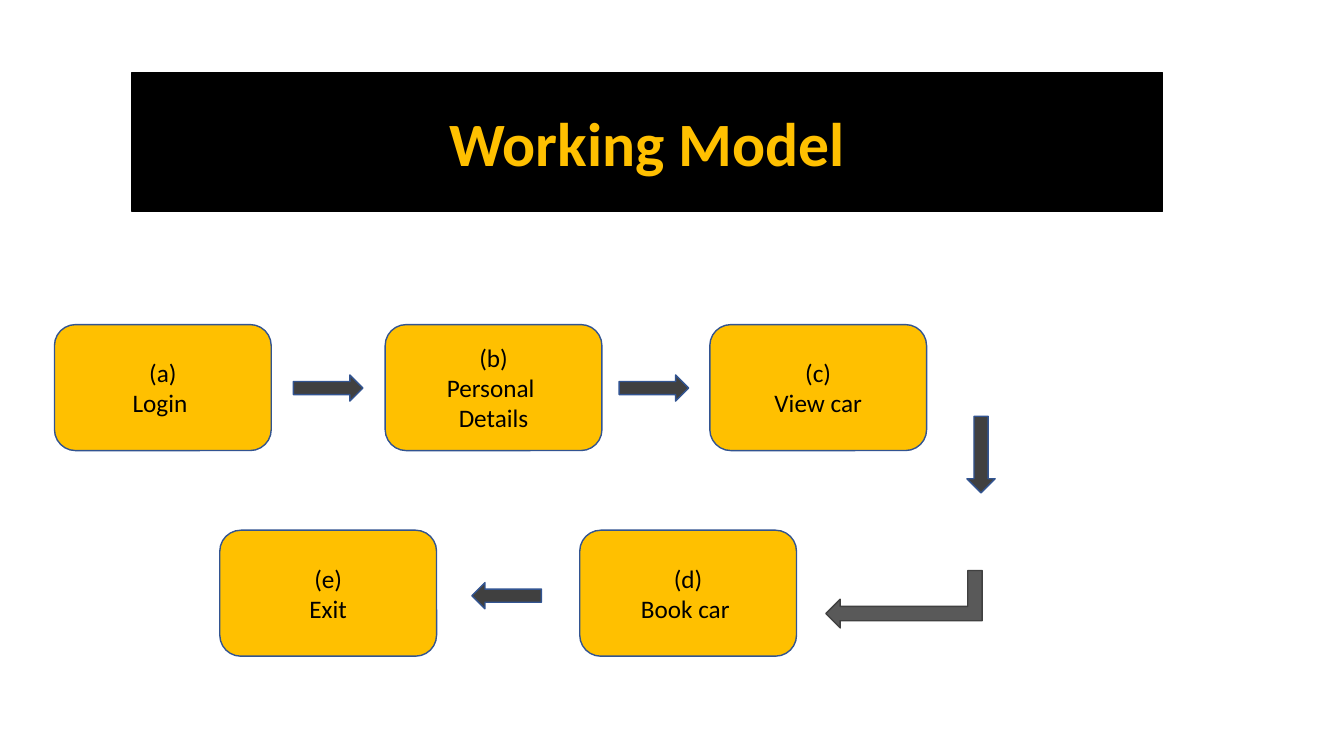
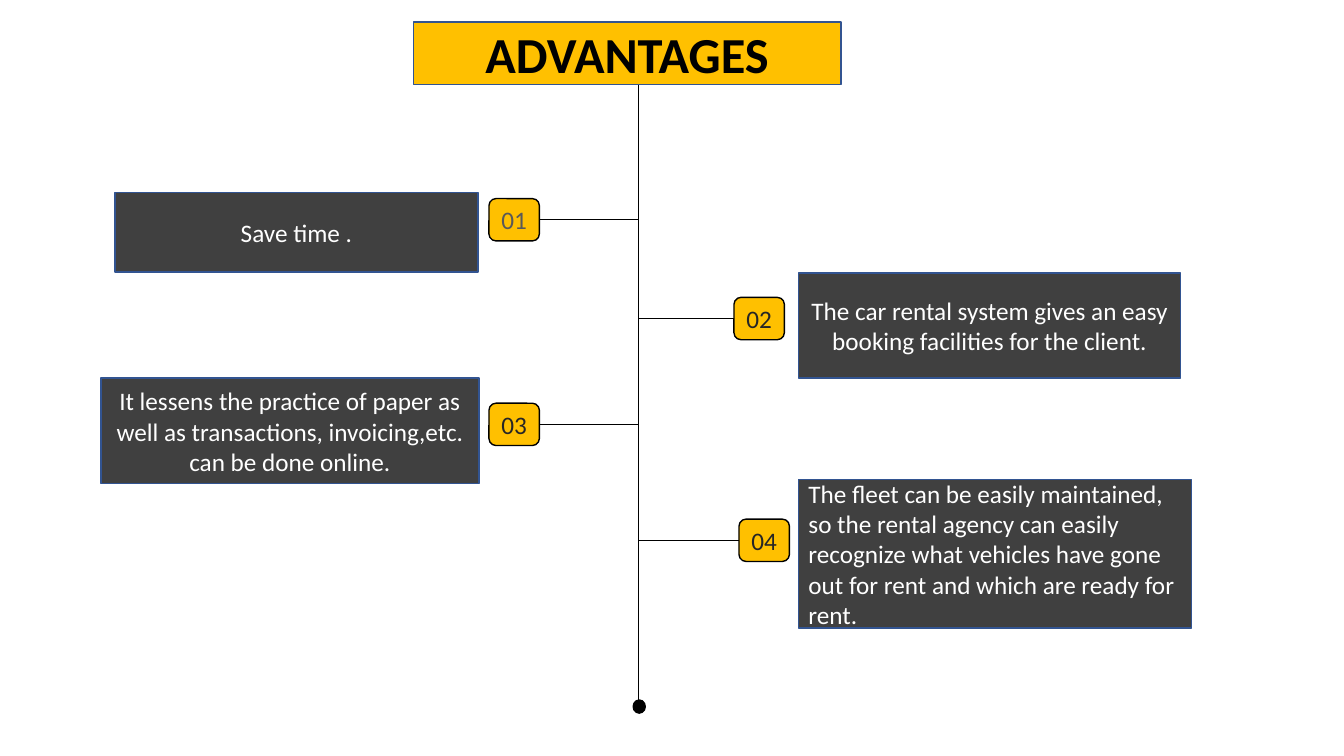
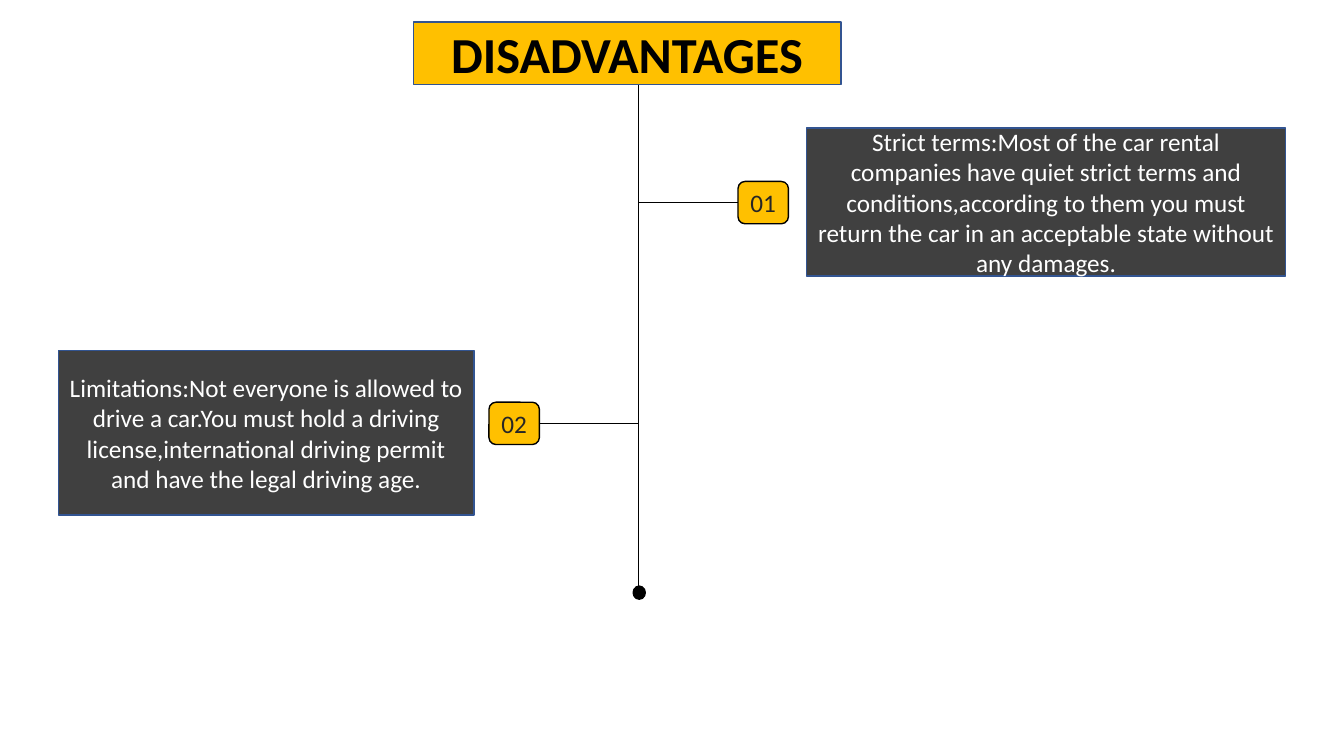
from pptx import Presentation
from pptx.dml.color import RGBColor
from pptx.enum.shapes import MSO_CONNECTOR, MSO_SHAPE
from pptx.enum.text import MSO_ANCHOR, PP_ALIGN
from pptx.oxml.ns import qn
from pptx.oxml.xmlchemy import OxmlElement
from pptx.util import Inches, Pt

RECT = MSO_SHAPE.RECTANGLE
ROUNDED = MSO_SHAPE.ROUNDED_RECTANGLE
BADGE = MSO_SHAPE.FLOWCHART_ALTERNATE_PROCESS
OVAL = MSO_SHAPE.OVAL
RIGHT_ARROW = MSO_SHAPE.RIGHT_ARROW
LEFT_ARROW = MSO_SHAPE.LEFT_ARROW
DOWN_ARROW = MSO_SHAPE.DOWN_ARROW
BENT_ARROW = MSO_SHAPE.BENT_UP_ARROW
STRAIGHT = MSO_CONNECTOR.STRAIGHT
CENTER, LEFT = PP_ALIGN.CENTER, PP_ALIGN.LEFT
MIDDLE = MSO_ANCHOR.MIDDLE
LEFT_SIDE, RIGHT_SIDE = 1, 3


class Theme:
    font = "Calibri"
    amber = RGBColor.from_string("FFC000")
    black = RGBColor.from_string("000000")
    white = RGBColor.from_string("FFFFFF")
    charcoal = RGBColor.from_string("404040")
    grey = RGBColor.from_string("595959")
    ink = RGBColor.from_string("262626")
    outline = RGBColor.from_string("325491")
    banner_size = Pt(44)
    title_size = Pt(36)
    body_size = Pt(18)
    border = Pt(1)
    hairline = Pt(0.5)


def add_block(slide, preset, box, fill, line, text="", color=Theme.black,
              size=Theme.body_size, bold=False, align=CENTER):
    block = slide.shapes.add_shape(preset, *[Inches(length) for length in box])
    block.shadow.inherit = False
    block.fill.solid()
    block.fill.fore_color.rgb = fill
    block.line.color.rgb = line
    block.line.width = Theme.border
    if text:
        frame = block.text_frame
        frame.word_wrap = True
        frame.vertical_anchor = MIDDLE
        frame.text = text
        for paragraph in frame.paragraphs:
            paragraph.alignment = align
            for run in paragraph.runs:
                run.font.name = Theme.font
                run.font.size = size
                run.font.bold = bold
                run.font.color.rgb = color
    return block


def add_line(slide, x1, y1, x2, y2):
    line = slide.shapes.add_connector(
        STRAIGHT, Inches(x1), Inches(y1), Inches(x2), Inches(y2))
    line.line.color.rgb = Theme.black
    line.line.width = Theme.hairline
    line.element.spPr.append(OxmlElement("a:effectLst"))
    return line


prs = Presentation()
prs.slide_width = Inches(13.33)
prs.slide_height = Inches(7.5)
blank = prs.slide_layouts[6]

model = prs.slides.add_slide(blank)
add_block(model, RECT, (1.31, 0.72, 10.22, 1.38), Theme.black, Theme.black,
          "Working Model", Theme.amber, Theme.banner_size, True)

top_row, bottom_row = 3.22, 5.26
steps = [
    (0.54, top_row, "(a)\nLogin "),
    (3.82, top_row, "(b)\nPersonal \nDetails"),
    (7.04, top_row, "(c)\nView car"),
    (5.75, bottom_row, "(d)\nBook car "),
    (2.18, bottom_row, "(e)\nExit"),
]
for left, top, label in steps:
    add_block(model, ROUNDED, (left, top, 2.15, 1.25),
              Theme.amber, Theme.outline, label)

arrows = [
    (RIGHT_ARROW, (2.91, 3.72, 0.69, 0.26)),
    (RIGHT_ARROW, (6.14, 3.72, 0.69, 0.26)),
    (DOWN_ARROW, (9.59, 4.13, 0.28, 0.76)),
    (LEFT_ARROW, (4.68, 5.78, 0.69, 0.26)),
]
for direction, box in arrows:
    add_block(model, direction, box, Theme.charcoal, Theme.outline)

turn = add_block(model, BENT_ARROW, (8.68, 5.17, 0.57, 1.55),
                 Theme.grey, Theme.charcoal)
turn.rotation = 270
turn.element.spPr.find(qn("a:xfrm")).set("flipH", "1")

spine_x = 6.33
title_top, title_height = 0.22, 0.62
badge_width, badge_height = 0.5, 0.42
dot_width, dot_height = 0.12, 0.13

timelines = [
    ("ADVANTAGES", 7.01, [
        (4.85, 1.97, Theme.grey, (1.14, 1.91, 3.6, 0.79), CENTER,
         "Save time ."),
        (7.28, 2.95, Theme.ink, (7.92, 2.71, 3.79, 1.04), CENTER,
         "The car rental system gives an easy booking facilities for the "
         "client."),
        (4.85, 4, Theme.ink, (1, 3.75, 3.75, 1.05), CENTER,
         "It lessens the practice of paper as well as transactions, "
         "invoicing,etc. can be done online."),
        (7.33, 5.15, Theme.ink, (7.92, 4.76, 3.9, 1.47), LEFT,
         "The fleet can be easily maintained, so the rental agency can easily "
         "recognize what vehicles have gone out for rent and which are ready "
         "for rent."),
    ]),
    ("DISADVANTAGES", 5.88, [
        (7.32, 1.8, Theme.ink, (8, 1.27, 4.75, 1.47), CENTER,
         "Strict terms:Most of the car rental companies have quiet strict "
         "terms and conditions,according to them you must return the car in "
         "an acceptable state without any damages."),
        (4.85, 3.99, Theme.ink, (0.58, 3.48, 4.12, 1.63), CENTER,
         "Limitations:Not everyone is allowed to drive a car.You must hold a "
         "driving license,international driving permit and have the legal "
         "driving age."),
    ]),
]

for title, spine_end, points in timelines:
    slide = prs.slides.add_slide(blank)
    add_line(slide, spine_x, title_top + title_height, spine_x, spine_end)
    add_block(slide, RECT, (4.1, title_top, 4.24, title_height), Theme.amber,
              Theme.outline, title, Theme.black, Theme.title_size, True)
    for number, point in enumerate(points, 1):
        badge_left, badge_top, number_color, card_box, align, text = point
        badge = add_block(
            slide, BADGE, (badge_left, badge_top, badge_width, badge_height),
            Theme.amber, Theme.black, f"{number:02d}", number_color)
        branch_y = badge_top + badge_height / 2
        branch = add_line(slide, spine_x, branch_y, badge_left, branch_y)
        branch.end_connect(
            badge, LEFT_SIDE if badge_left > spine_x else RIGHT_SIDE)
        add_block(slide, RECT, card_box, Theme.charcoal, Theme.outline,
                  text, Theme.white, align=align)
    add_block(slide, OVAL,
              (spine_x - dot_width / 2 + 0.01, spine_end - dot_height / 2,
               dot_width, dot_height), Theme.black, Theme.black)

prs.save("out.pptx")
